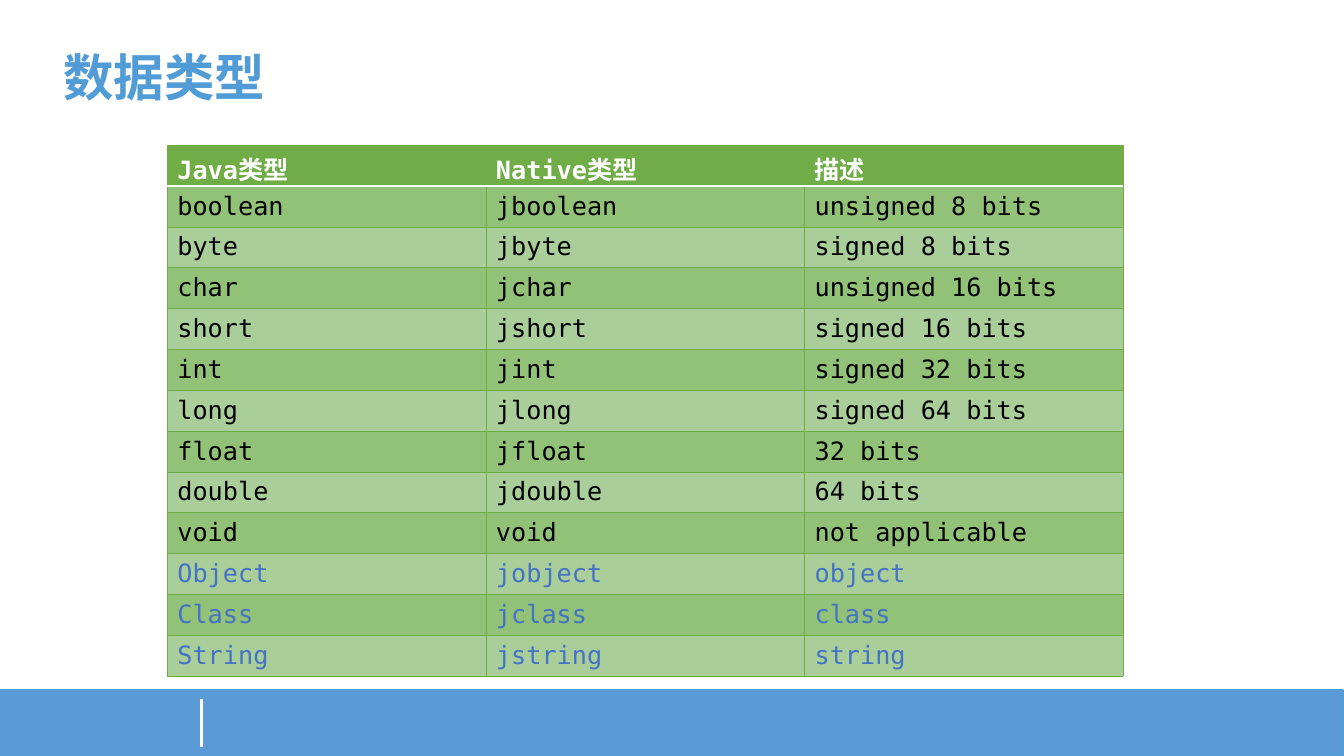
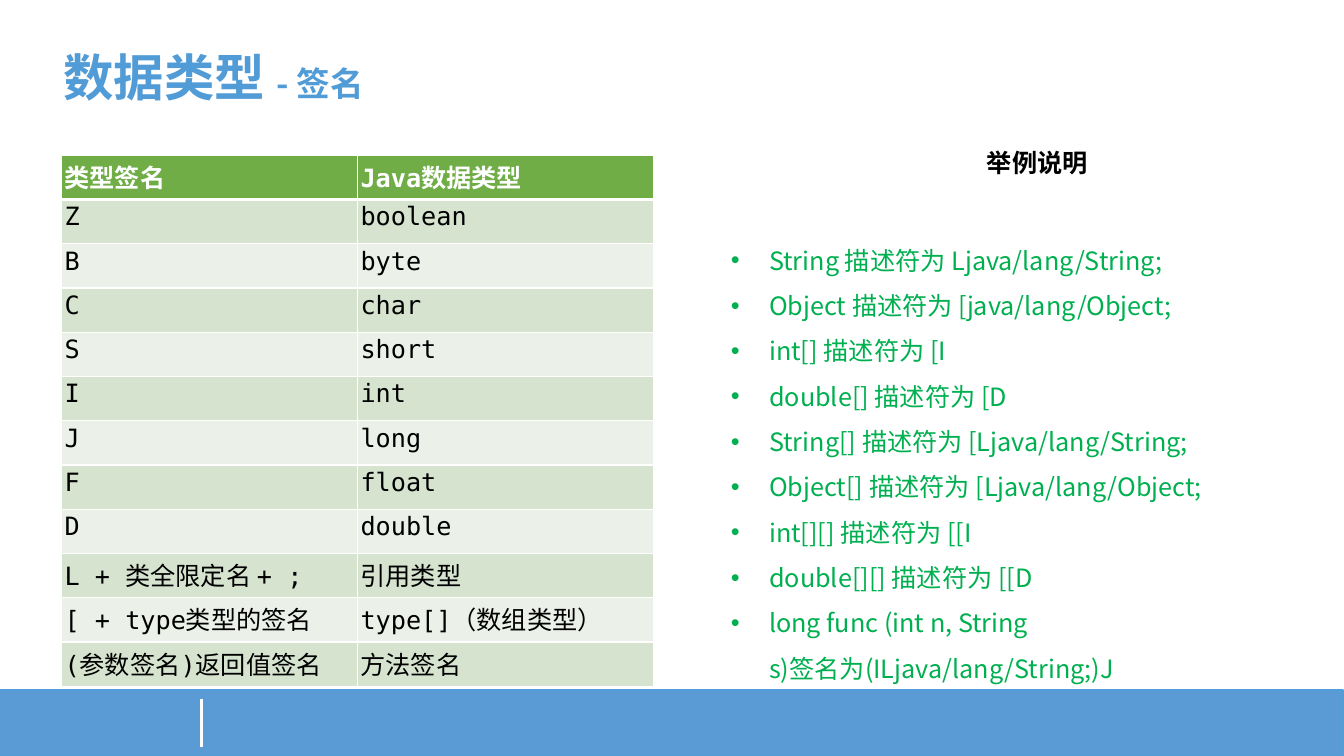
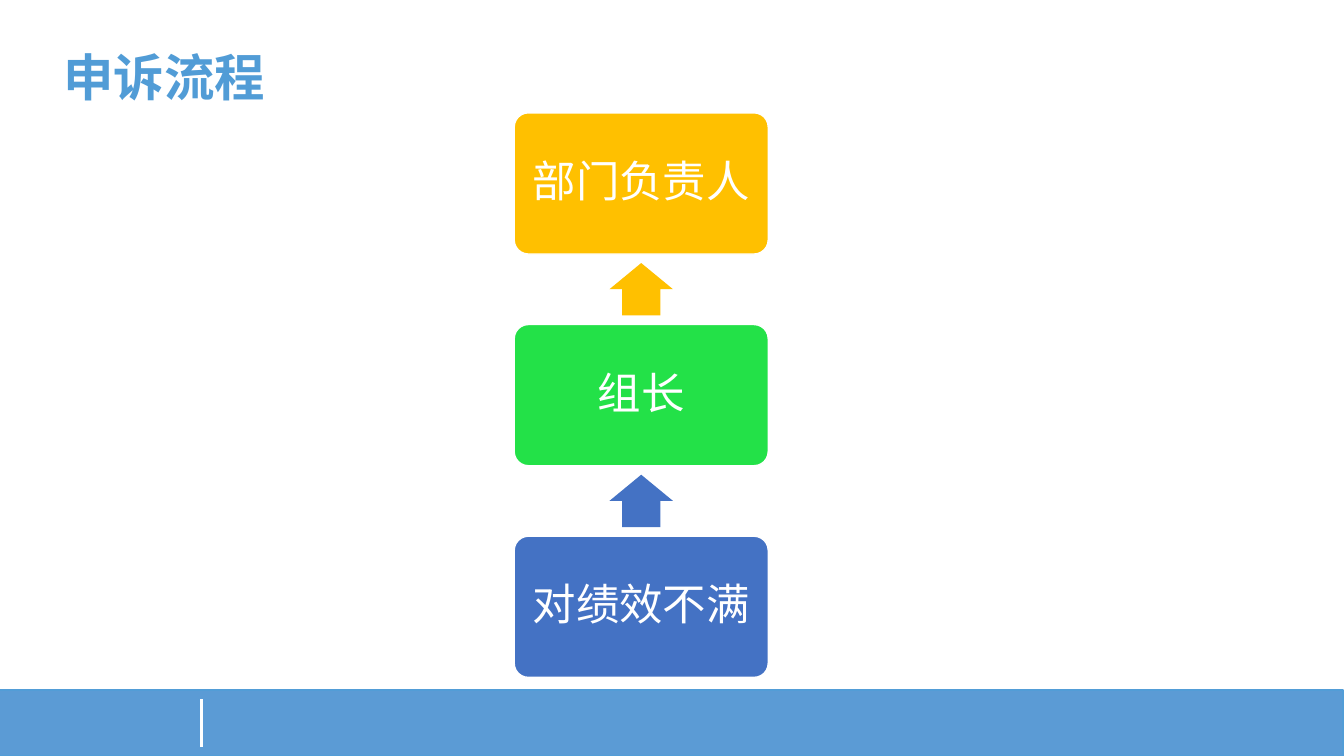
from lxml import etree
from pptx import Presentation
from pptx.dml.color import RGBColor
from pptx.enum.shapes import MSO_CONNECTOR, MSO_SHAPE
from pptx.enum.text import MSO_ANCHOR, PP_ALIGN
from pptx.oxml.ns import qn
from pptx.util import Inches, Pt

# Shared look
W, H = Inches(13.33), Inches(7.5)
MONO, SANS = "DejaVu Sans Mono", "Noto Sans CJK SC"
WHITE, BLACK = RGBColor(255, 255, 255), RGBColor(0, 0, 0)
TITLE_BLUE = RGBColor(0x51, 0x9C, 0xD6)
BAND_BLUE = RGBColor(0x5B, 0x9B, 0xD5)
BAND_EDGE = RGBColor(0x52, 0x9D, 0xD7)
BLUE = RGBColor(0x44, 0x72, 0xC4)
GREEN = RGBColor(0x70, 0xAD, 0x47)
MID_GREENS = (RGBColor(0x92, 0xC1, 0x78), RGBColor(0xA9, 0xCE, 0x99))
PALE_GREENS = (RGBColor(0xD5, 0xE3, 0xCF), RGBColor(0xEB, 0xF1, 0xE9))
TEXT_GREEN = RGBColor(0x00, 0xB0, 0x50)
AMBER = RGBColor(0xFF, 0xC0, 0x00)
BRIGHT_GREEN = RGBColor(0x23, 0xE1, 0x48)

RECT, ROUND, UP = MSO_SHAPE.RECTANGLE, MSO_SHAPE.ROUNDED_RECTANGLE, MSO_SHAPE.UP_ARROW
STRAIGHT = MSO_CONNECTOR.STRAIGHT
TOP, MIDDLE = MSO_ANCHOR.TOP, MSO_ANCHOR.MIDDLE
LEFT, CENTER = PP_ALIGN.LEFT, PP_ALIGN.CENTER

# Slide content
JAVA_TYPES = [
    ("Java类型", "Native类型", "描述"),
    ("boolean", "jboolean", "unsigned 8 bits"),
    ("byte", "jbyte", "signed 8 bits"),
    ("char", "jchar", "unsigned 16 bits"),
    ("short", "jshort", "signed 16 bits"),
    ("int", "jint", "signed 32 bits"),
    ("long", "jlong", "signed 64 bits"),
    ("float", "jfloat", "32 bits"),
    ("double", "jdouble", "64 bits"),
    ("void", "void", "not applicable"),
    ("Object", "jobject", "object"),
    ("Class", "jclass", "class"),
    ("String", "jstring", "string"),
]
REFERENCE_TYPES = ("Object", "Class", "String")
SIGNATURES = [
    ("类型签名", "Java数据类型"),
    ("Z", "boolean"),
    ("B", "byte"),
    ("C", "char"),
    ("S", "short"),
    ("I", "int"),
    ("J", "long"),
    ("F", "float"),
    ("D", "double"),
    ("L + 类全限定名 + ;", "引用类型"),
    ("[ + type类型的签名", "type[]（数组类型）"),
    ("(参数签名)返回值签名", "方法签名"),
]
EXAMPLES = [
    "String 描述符为 Ljava/lang/String;",
    "Object 描述符为 [java/lang/Object;",
    "int[] 描述符为 [I",
    "double[] 描述符为 [D",
    "String[] 描述符为 [Ljava/lang/String;",
    "Object[] 描述符为 [Ljava/lang/Object;",
    "int[][] 描述符为 [[I",
    "double[][] 描述符为 [[D",
    "long func (int n, String s)签名为(ILjava/lang/String;)J",
]
APPEAL_STEPS = [("部门负责人", AMBER), ("组长", BRIGHT_GREEN), ("对绩效不满", BLUE)]


def area(x, y, w, h):
    """Turn percentages of the slide's width and height into lengths."""
    return int(W * x / 100), int(H * y / 100), int(W * w / 100), int(H * h / 100)


def add_run(p, text, size, color, font=MONO, bold=False):
    r = p.add_run()
    r.text = text
    r.font.size, r.font.bold, r.font.name = Pt(size), bold, font
    r.font.color.rgb = color
    etree.SubElement(r.font._element, qn("a:ea"), typeface=SANS)


def add_box(slide, box, wrap=False):
    tf = slide.shapes.add_textbox(*area(*box)).text_frame
    tf.word_wrap = wrap
    return tf


def add_block(slide, kind, box, fill, edge=None, edge_width=1):
    sp = slide.shapes.add_shape(kind, *area(*box))
    sp.shadow.inherit = False
    sp.fill.solid()
    sp.fill.fore_color.rgb = fill
    if edge is None:
        sp.line.fill.background()
    else:
        sp.line.color.rgb, sp.line.width = edge, Pt(edge_width)
    return sp


def add_page(prs, *title_runs):
    """Blank slide with the footer band, its divider and the title."""
    slide = prs.slides.add_slide(prs.slide_layouts[6])
    add_block(slide, RECT, (-0.08, 91.33, 100, 8.67), BAND_BLUE, BAND_EDGE, 1.5)
    x, y, _, h = area(15, 92.53, 0, 6.27)
    divider = slide.shapes.add_connector(STRAIGHT, x, y, x, y + h)
    divider.line.color.rgb, divider.line.width = WHITE, Pt(2.25)
    etree.SubElement(divider._element.spPr, qn("a:effectLst"))
    p = add_box(slide, (3.98, 5.47, 32, 9.47)).paragraphs[0]
    for text, size in title_runs:
        add_run(p, text, size, TITLE_BLUE, SANS, True)
    return slide


def add_border(cell, side, color, width):
    ln = etree.SubElement(cell._tc.get_or_add_tcPr(), qn("a:ln" + side), w=str(Pt(width)))
    fill = etree.SubElement(ln, qn("a:solidFill"))
    etree.SubElement(fill, qn("a:srgbClr"), val=str(color))


def add_grid(slide, rows, box, bands, edge, edge_width, rule_width, anchor, inset=None):
    """Table with a green header, banded rows and a white rule below the header."""
    x, y, w, h = area(*box)
    table = slide.shapes.add_table(len(rows), len(rows[0]), x, y, w, h).table
    for i, row in enumerate(rows):
        table.rows[i].height = h // len(rows)
        for j, text in enumerate(row):
            cell = table.cell(i, j)
            for side in "LRTB":
                header_rule = (i, side) in ((0, "B"), (1, "T"))
                add_border(cell, side, WHITE if header_rule else edge,
                           rule_width if header_rule else edge_width)
            cell.fill.solid()
            cell.fill.fore_color.rgb = bands[(i - 1) % 2] if i else GREEN
            cell.vertical_anchor = anchor if i else TOP
            if inset is not None:
                cell.margin_left = cell.margin_right = inset
                cell.margin_top = cell.margin_bottom = inset
            color = BLUE if row[0] in REFERENCE_TYPES else BLACK
            add_run(cell.text_frame.paragraphs[0], text, 18,
                    color if i else WHITE, bold=i == 0)


def add_bullets(slide, items, box):
    tf = add_box(slide, box, wrap=True)
    for i, text in enumerate(items):
        p = tf.paragraphs[0] if i == 0 else tf.add_paragraph()
        p.line_spacing = 1.5
        pPr = p._p.get_or_add_pPr()
        pPr.set("marL", str(Inches(0.38)))
        pPr.set("indent", str(-Inches(0.38)))
        etree.SubElement(pPr, qn("a:buFont"), typeface="Arial")
        etree.SubElement(pPr, qn("a:buChar"), char="•")
        add_run(p, text, 18, TEXT_GREEN, SANS)


def add_flow(slide, steps, center, top, step_w, step_h, pitch):
    """Column of steps; an arrow points up from each step to the one above."""
    arrow_w, arrow_h = 4.73, 6.93
    gap = pitch - step_h
    for i, (text, color) in enumerate(steps):
        y = top + i * pitch
        sp = add_block(slide, ROUND, (center - step_w / 2, y, step_w, step_h), color, WHITE)
        sp.adjustments[0] = 0.1
        tf = sp.text_frame
        tf.word_wrap, tf.vertical_anchor = True, MIDDLE
        tf.margin_left = tf.margin_right = Inches(0.13)
        p = tf.paragraphs[0]
        p.alignment, p.line_spacing, p.space_after = CENTER, 0.9, Pt(11)
        add_run(p, text, 31, WHITE)
        if i:
            arrow_y = y - (gap + arrow_h) / 2
            arrow_color = AMBER if i == 1 else color
            arrow = add_block(slide, UP, (center - arrow_w / 2, arrow_y, arrow_w, arrow_h),
                              arrow_color)
            arrow.adjustments[0], arrow.adjustments[1] = 0.6, 0.5


def main():
    prs = Presentation()
    prs.slide_width, prs.slide_height = W, H

    # Data types
    slide = add_page(prs, ("数据类型", 36))
    add_grid(slide, JAVA_TYPES, (12.45, 19.2, 71.12, 70.27), MID_GREENS,
             GREEN, 0.5, 1, MIDDLE)

    # Type signatures with examples
    slide = add_page(prs, ("数据类型 ", 36), ("- 签名", 24))
    add_grid(slide, SIGNATURES, (4.58, 20.53, 44.04, 70.27), PALE_GREENS,
             WHITE, 1, 3, TOP, Inches(0.03))
    add_bullets(slide, EXAMPLES, (53.64, 29.73, 46.36, 61.87))
    p = add_box(slide, (72.69, 18.8, 9.08, 5.33)).paragraphs[0]
    p.alignment = LEFT
    add_run(p, "举例说明", 18, BLACK, bold=True)

    # Appeal process
    slide = add_page(prs, ("申诉流程", 36))
    add_flow(slide, APPEAL_STEPS, center=47.71, top=14.93,
             step_w=18.9, step_h=18.67, pitch=28)

    prs.save("out.pptx")


if __name__ == "__main__":
    main()
